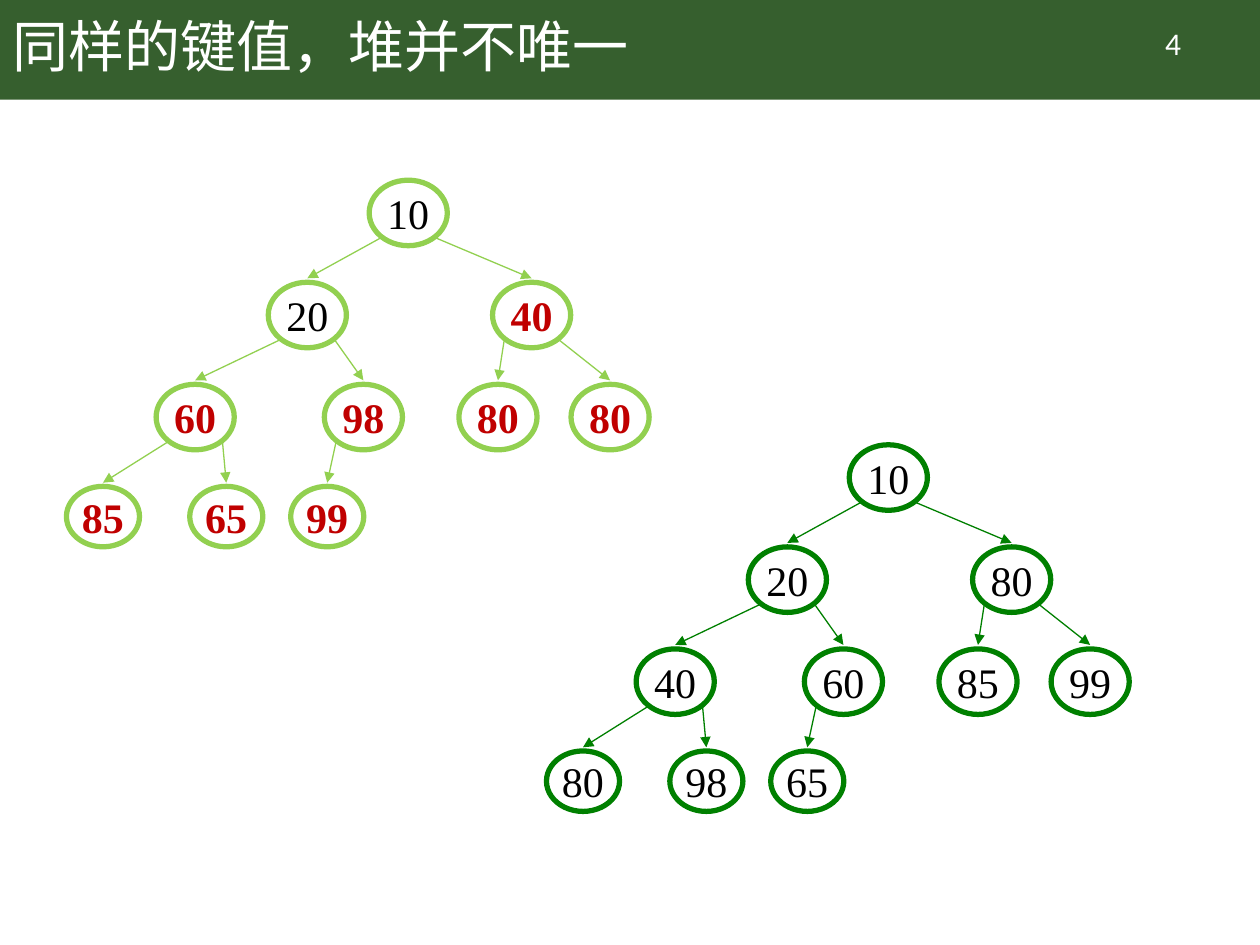
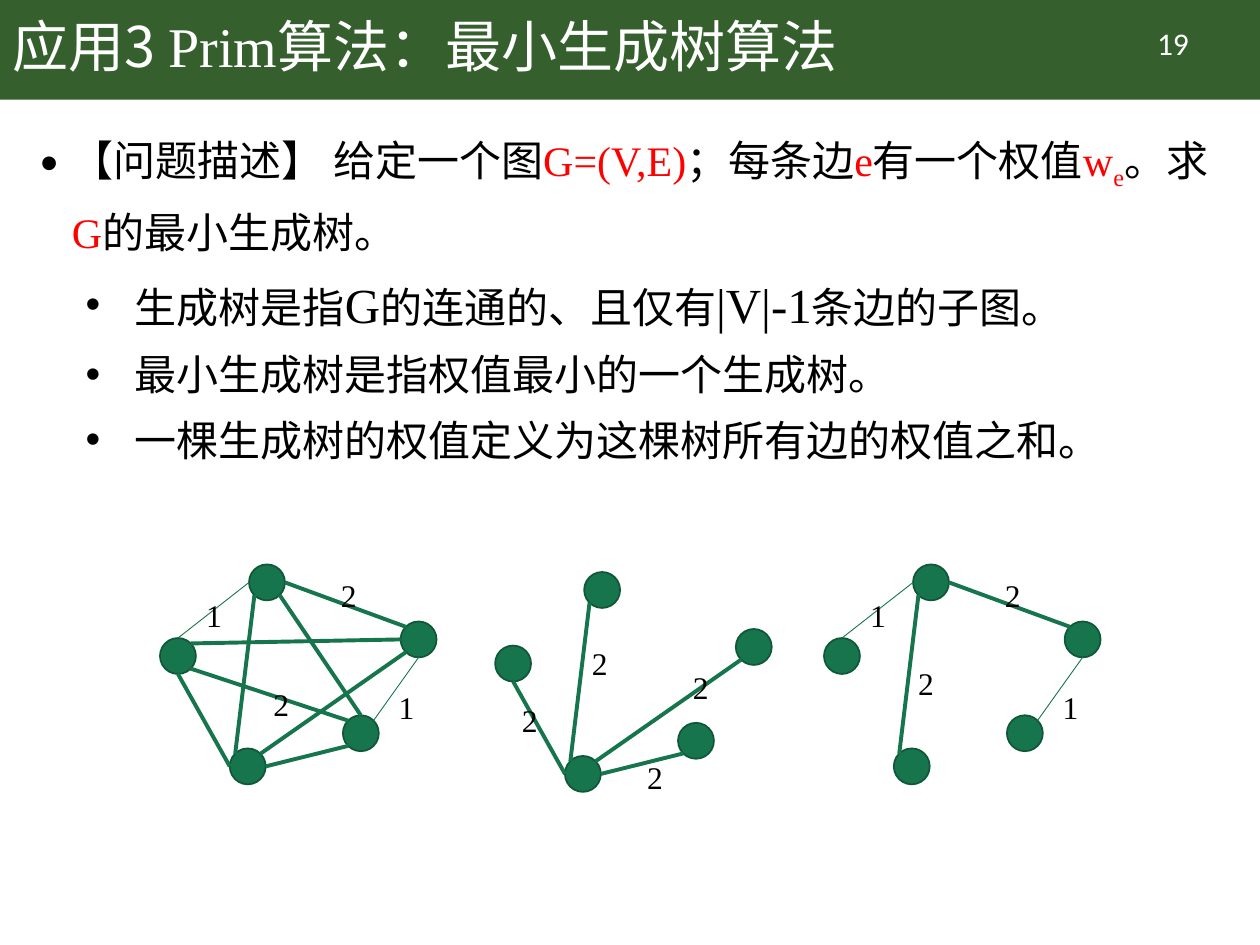
"""Build two slides: heaps sharing the same keys, and minimum spanning trees."""
from dataclasses import dataclass
from typing import Any, NamedTuple

from lxml import etree
from pptx import Presentation
from pptx import util as u
from pptx.dml.color import RGBColor
from pptx.enum import shapes, text
from pptx.oxml.ns import qn

COLORS = {
    "band": "365F2E", "white": "FFFFFF", "black": "000000", "red": "FF0000",
    "key": "C00000", "lime": "92D050", "green": "008000",
    "vertex": "16754D", "rim": "105739",
}
SANS, SERIF, NUMERAL = "Noto Sans CJK SC", "Times New Roman", "Calibri"
COLUMNS, ROWS = 100, 75
WIDTH, HEIGHT = u.Inches(10), u.Inches(7.5)


class Point(NamedTuple):
    """A place in grid columns and rows."""
    x: float
    y: float


class Area(NamedTuple):
    """A rectangle in grid columns and rows."""
    left: float
    top: float
    width: float
    height: float

    def at(self, across: float, down: float) -> Point:
        """Return the point at the given shares of the sides."""
        return Point(self.left + across * self.width, self.top + down * self.height)

    def emu(self) -> tuple[int, ...]:
        """Return the rectangle in slide units."""
        return (*to_emu(Point(self.left, self.top)), *to_emu(Point(self.width, self.height)))


@dataclass(frozen=True)
class Span:
    """A stretch of text in one format."""
    words: str
    face: str = SANS
    color: str = "black"
    size: float = 24
    bold: bool = False
    baseline: int = 0


@dataclass(frozen=True)
class Item:
    """A list paragraph."""
    spans: list[Span]
    level: int = 0
    margin: float = 0.75
    bullet_size: int = 100


@dataclass(frozen=True)
class Heap:
    """A heap in level order; keys from first_marked on are emphasised."""
    root: Point
    color: str
    keys: list[int]
    first_marked: int


@dataclass(frozen=True)
class Edge:
    """A graph edge between named sides of two vertices."""
    start: str
    start_side: str
    end: str
    end_side: str
    weight: float = 2.25


@dataclass(frozen=True)
class Graph:
    """A drawing of the vertices, some edges and their weights."""
    origin: Point
    edges: list[str]
    labels: list[tuple[str, float, float]]


TITLE_AREA = Area(0, 0, 86.2, 7.9)
BAND_AREA = Area(0, 0, COLUMNS, 7.9)
NUMBER_AREA = Area(87.1, 1.4, 12, 4)
BODY_AREA = Area(2.2, 8.8, 95.7, 64.7)

HEAP_STEP = Point(0.89, 8.1)
HEAP_COLUMNS = [0, -9, 11, -19, -4, 8, 18, -27, -16, -7]
HEAPS = [
    Heap(Point(67.4, 35.3), "green", [10, 20, 80, 40, 60, 85, 99, 80, 98, 65], 10),
    Heap(Point(29.3, 14.3), "lime", [10, 20, 40, 60, 98, 80, 80, 85, 65, 99], 2),
]

GRAPH_SIZE = Point(19.1, 14.6)
VERTEX = 2.85
VERTICES = {"top": (0.37, 0), "left": (0, 0.4), "bottom": (0.29, 1),
            "low": (0.76, 0.82), "right": (1, 0.31)}
SIDES = {"n": (0.5, 0), "ne": (0.85, 0.15), "e": (1, 0.5), "se": (0.85, 0.85),
         "s": (0.5, 1), "sw": (0.15, 0.85), "w": (0, 0.5), "nw": (0.15, 0.15)}
EDGES = {
    "left-right": Edge("left", "ne", "right", "w"),
    "left-low": Edge("left", "se", "low", "nw"),
    "bottom-top": Edge("bottom", "nw", "top", "sw"),
    "low-top": Edge("low", "n", "top", "se"),
    "bottom-right": Edge("bottom", "ne", "right", "sw"),
    "left-top": Edge("left", "n", "top", "w", 0.5),
    "top-right": Edge("top", "e", "right", "nw"),
    "right-low": Edge("right", "s", "low", "ne", 0.5),
    "low-bottom": Edge("low", "sw", "bottom", "e"),
    "bottom-left": Edge("bottom", "w", "left", "s"),
}
OUTER_LABELS = [("1", 0.14, 0.14), ("2", 0.7, 0.03), ("1", 0.94, 0.64)]
GRAPHS = [
    Graph(Point(12.7, 44.8), list(EDGES), [*OUTER_LABELS, ("2", 0.42, 0.62)]),
    Graph(Point(65.4, 44.8), ["bottom-top", "left-top", "top-right", "right-low"],
          [*OUTER_LABELS, ("2", 0.34, 0.51)]),
    Graph(Point(39.3, 45.4), ["bottom-top", "bottom-right", "low-bottom", "bottom-left"],
          [("2", 0.06, 0.67), ("2", 0.35, 0.36), ("2", 0.77, 0.49), ("2", 0.58, 0.98)]),
]

ITEMS = [
    Item([Span("【问题描述】 给定一个图"), Span("G=(V,E)", SERIF, "red"), Span("；每条边"),
          Span("e", SERIF, "red"), Span("有一个权值"), Span("w", SERIF, "red"),
          Span("e", SERIF, "red", baseline=-25000), Span("。求"),
          Span("G", SERIF, "red"), Span("的最小生成树。")], 0, 0.25, 120),
    Item([Span("生成树是指"), Span("G", SERIF, size=28), Span("的连通的、且仅有"),
          Span("|V|-1", SERIF, size=28), Span("条边的子图。")], 1),
    Item([Span("最小生成树是指权值最小的一个生成树。")], 1),
    Item([Span("一棵生成树的权值定义为这棵树所有边的权值之和。")], 1),
]


def to_emu(point: Point) -> tuple[int, int]:
    """Turn grid columns and rows into slide units."""
    return round(point.x * WIDTH / COLUMNS), round(point.y * HEIGHT / ROWS)


def rgb(name: str) -> RGBColor:
    """Look up a colour."""
    return RGBColor.from_string(COLORS[name])


def assign(target: Any, **values: Any) -> None:
    """Set several attributes of an object."""
    for name, value in values.items():
        setattr(target, name, value)


def write(para: Any, spans: list[Span], **layout: Any) -> None:
    """Fill a paragraph with formatted spans."""
    assign(para, **layout)
    for span in spans:
        run = para.add_run()
        run.text = span.words
        assign(run.font, name=span.face, size=u.Pt(span.size), bold=span.bold)
        run.font.color.rgb = rgb(span.color)
        properties = run.font._element
        etree.SubElement(properties, qn("a:ea"), typeface=SANS)
        if span.baseline:
            properties.set("baseline", str(span.baseline))


def place(box: Any, area: Area) -> None:
    """Move a shape to an area."""
    assign(box, **dict(zip(("left", "top", "width", "height"), area.emu())))


def add_form(group: Any, kind: Any, area: Area, fill: str = "", line: str = "",
             weight: float = 0) -> Any:
    """Add a flat preset shape."""
    form = group.add_shape(kind, *area.emu())
    form.shadow.inherit = False
    for paint, color in ((form.fill, fill), (form.line.fill, line)):
        if color:
            paint.solid()
            paint.fore_color.rgb = rgb(color)
        else:
            paint.background()
    if line:
        form.line.width = u.Pt(weight)
    return form


def add_line(group: Any, start: Point, end: Point, color: str, weight: float,
             arrow: bool = False) -> None:
    """Add a straight line, with an arrowhead if asked."""
    line = group.add_connector(shapes.MSO_CONNECTOR.STRAIGHT, *to_emu(start), *to_emu(end))
    line.line.color.rgb = rgb(color)
    line.line.width = u.Pt(weight)
    if arrow:
        etree.SubElement(line.line._get_or_add_ln(), qn("a:tailEnd"), type="triangle")
    etree.SubElement(line._element.spPr, qn("a:effectLst"))


def add_label(group: Any, area: Area, span: Span, align: Any, **frame: Any) -> None:
    """Add a text box with one span."""
    box = group.add_textbox(*area.emu())
    assign(box.text_frame, **frame)
    write(box.text_frame.paragraphs[0], [span], alignment=align)


def add_page(deck: Any, layout: int, title: list[Span], number: str) -> Any:
    """Add a slide with its title and number."""
    page = deck.slides.add_slide(deck.slide_layouts[layout])
    place(page.shapes.title, TITLE_AREA)
    frame = page.shapes.title.text_frame
    assign(frame, vertical_anchor=text.MSO_ANCHOR.MIDDLE, auto_size=text.MSO_AUTO_SIZE.NONE)
    write(frame.paragraphs[0], title, alignment=text.PP_ALIGN.LEFT, line_spacing=0.9)
    add_label(page.shapes, NUMBER_AREA, Span(number, NUMERAL, "white", 18),
              text.PP_ALIGN.CENTER, word_wrap=True)
    return page


def add_master_band(deck: Any, page: Any) -> None:
    """Draw the title band and move it to the slide master."""
    band = add_form(page.shapes, shapes.MSO_SHAPE.RECTANGLE, BAND_AREA, "band")
    deck.slide_master.element.cSld.spTree.insert(2, band.element)


def draw_heap(page: Any, heap: Heap) -> None:
    """Draw a heap as a binary tree."""
    group = page.shapes.add_group_shape().shapes
    nodes: list[Area] = []
    for index, key in enumerate(heap.keys):
        depth = (index + 1).bit_length() - 1
        node = Area(heap.root.x + HEAP_COLUMNS[index] * HEAP_STEP.x,
                    heap.root.y + depth * HEAP_STEP.y,
                    *((5.8, 4.8) if depth == 3 else (6.2, 5.2)))
        nodes.append(node)
        form = add_form(group, shapes.MSO_SHAPE.OVAL, node, line=heap.color, weight=3)
        assign(form.text_frame, word_wrap=False, vertical_anchor=text.MSO_ANCHOR.MIDDLE)
        marked = index >= heap.first_marked
        span = Span(str(key), SERIF, "key" if marked else "black", bold=marked)
        write(form.text_frame.paragraphs[0], [span], alignment=text.PP_ALIGN.CENTER)
        if index:
            start = nodes[(index - 1) // 2].at(0.15 if index % 2 else 0.85, 0.88)
            add_line(group, start, node.at(0.5, -0.06), heap.color, 0.75, arrow=True)


def draw_graph(page: Any, graph: Graph) -> None:
    """Draw a weighted graph."""
    group = page.shapes.add_group_shape().shapes
    frame = Area(*graph.origin, *GRAPH_SIZE)
    vertices = {name: Area(*frame.at(*share), VERTEX, VERTEX)
                for name, share in VERTICES.items()}
    for vertex in vertices.values():
        add_form(group, shapes.MSO_SHAPE.OVAL, vertex, "vertex", "rim", 1)
    for edge in map(EDGES.get, graph.edges):
        add_line(group, vertices[edge.start].at(*SIDES[edge.start_side]),
                 vertices[edge.end].at(*SIDES[edge.end_side]), "vertex", edge.weight)
    for words, across, down in graph.labels:
        add_label(group, Area(*frame.at(across, down), 2.7, 3.3), Span(words, SERIF, size=18),
                  text.PP_ALIGN.LEFT, word_wrap=False,
                  auto_size=text.MSO_AUTO_SIZE.SHAPE_TO_FIT_TEXT)


def fill_body(page: Any, items: list[Item]) -> None:
    """Write the bulleted list in the body placeholder."""
    body = page.placeholders[1]
    place(body, BODY_AREA)
    frame = body.text_frame
    frame.auto_size = text.MSO_AUTO_SIZE.NONE
    for index, item in enumerate(items):
        para = frame.add_paragraph() if index else frame.paragraphs[0]
        properties = para._p.get_or_add_pPr()
        assign(para, level=item.level, line_spacing=1.3, space_before=u.Pt(0))
        properties.set("marL", str(u.Inches(item.margin)))
        properties.set("indent", str(u.Inches(-0.39)))
        color = etree.SubElement(properties, qn("a:buClr"))
        etree.SubElement(color, qn("a:srgbClr"), val=COLORS["black"])
        etree.SubElement(properties, qn("a:buSzPct"), val=str(item.bullet_size * 1000))
        etree.SubElement(properties, qn("a:buChar"), char="•")
        write(para, item.spans)


def main() -> None:
    """Build and save the deck."""
    deck = Presentation()
    assign(deck, slide_width=WIDTH, slide_height=HEIGHT)
    page = add_page(deck, 5, [Span("同样的键值，堆并不唯一", SANS, "white", 32)], "4")
    add_master_band(deck, page)
    for heap in HEAPS:
        draw_heap(page, heap)
    title = [Span("应用3 ", SANS, "white", 32), Span("Prim算法：", SERIF, "white", 32),
             Span("最小生成树算法", SANS, "white", 32)]
    page = add_page(deck, 1, title, "19")
    fill_body(page, ITEMS)
    for graph in GRAPHS:
        draw_graph(page, graph)
    deck.save("out.pptx")


if __name__ == "__main__":
    main()
